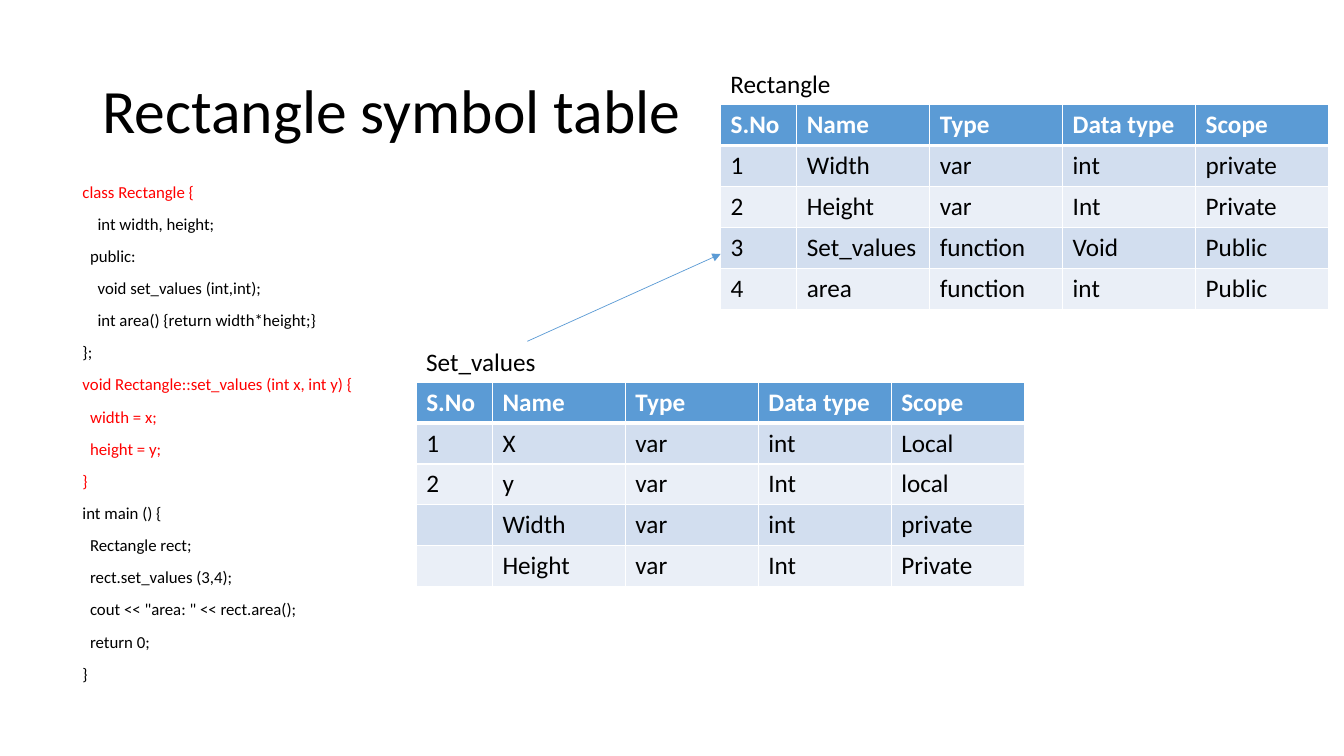
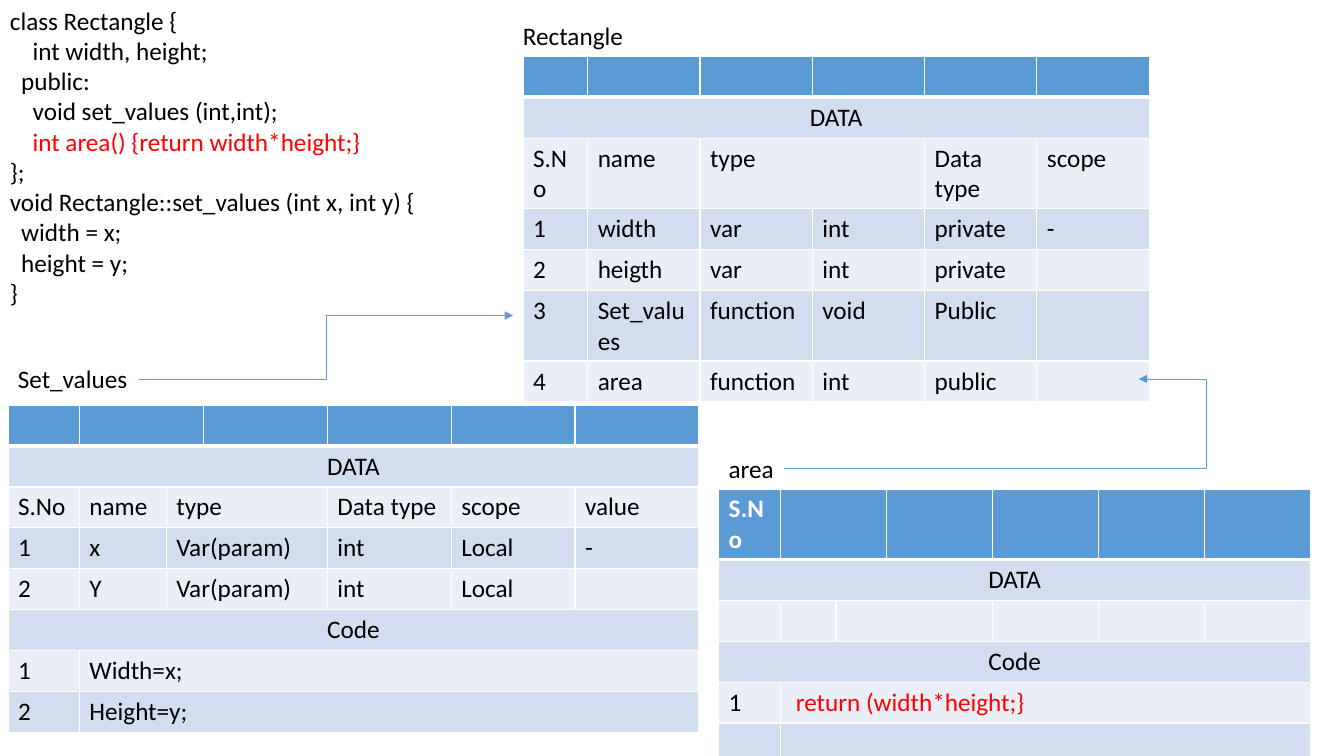
import lxml.etree
import pptx
import pptx.dml.color
import pptx.enum.shapes
import pptx.enum.text
import pptx.oxml.ns
import pptx.util

Cm = pptx.util.Cm
Pt = pptx.util.Pt
CONNECTOR = pptx.enum.shapes.MSO_CONNECTOR
ALIGN = pptx.enum.text.PP_ALIGN

FONT = "Calibri"
BLACK, WHITE, RED = "000000", "FFFFFF", "FF0000"
BLUE, BAND_DARK, BAND_LIGHT = "5B9BD5", "D2DEEF", "EAEFF7"
LINE_HEIGHT = 1.03

CLASS_CODE = [
    "class Rectangle {",
    "    int width, height;",
    "  public:",
    "    void set_values (int,int);",
    "    int area() {return width*height;}",
    "};",
]
METHOD_CODE = [
    "void Rectangle::set_values (int x, int y) {",
    "  width = x;",
    "  height = y;",
    "}",
]
MAIN_CODE = [
    "int main () {",
    "  Rectangle rect;",
    "  rect.set_values (3,4);",
    "  cout << \"area: \" << rect.area();",
    "  return 0;",
    "}",
]

# In table rows, None joins a cell to the one on its left.
HEADINGS = ["S.No", "Name", "Type", "Data type", "Scope"]
RECTANGLE_SYMBOLS = [
    HEADINGS,
    ["1", "Width", "var", "int", "private"],
    ["2", "Height", "var", "Int", "Private"],
    ["3", "Set_values", "function", "Void", "Public"],
    ["4", "area", "function", "int", "Public"],
]
SET_VALUES_SYMBOLS = [
    HEADINGS,
    ["1", "X", "var", "int", "Local"],
    ["2", "y", "var", "Int", "local"],
    ["", "Width", "var", "int", "private"],
    ["", "Height", "var", "Int", "Private"],
]
RECTANGLE_RECORD = [
    [""] * 6,
    ["DATA"] + [None] * 5,
    ["S.No", "name", "type", None, "Data type", "scope"],
    ["1", "width", "var", "int", "private", "-"],
    ["2", "heigth", "var", "int", "private", ""],
    ["3", "Set_values", "function", "void", "Public", ""],
    ["4", "area", "function", "int", "public", ""],
]
SET_VALUES_RECORD = [
    ["", "", None, "", "", "", ""],
    ["DATA"] + [None] * 6,
    ["S.No", "name", "type", None, "Data type", "scope", "value"],
    ["1", "x", "Var(param)", None, "int", "Local", "-"],
    ["2", "Y", "Var(param)", None, "int", "Local", ""],
    ["Code"] + [None] * 6,
    ["1", "Width=x;"] + [None] * 5,
    ["2", "Height=y;"] + [None] * 5,
]
AREA_RECORD = [
    ["S.No", "", None, "", "", "", ""],
    ["DATA"] + [None] * 6,
    ["", "", "", None, "", "", ""],
    ["Code"] + [None] * 6,
    ["1", " return (width*height;}"] + [None] * 5,
    ["", ""] + [None] * 5,
]
# The type column starts half-way along a heading in these two tables.
SET_VALUES_WIDTHS = [1.8, 2.19, 0.94] + [3.12] * 4
AREA_WIDTHS = [1.55, 1.41, 1.28] + [2.67] * 4
SYMBOL_WIDTHS = [1.92] + [3.35] * 4


def color(hex_code):
    return pptx.dml.color.RGBColor.from_string(hex_code)


def apply_format(target, values):
    for name, value in values.items():
        setattr(target, name, value)


def format_text(para, hex_code=BLACK, size=18, bold=False):
    apply_format(para.font, {"name": FONT, "size": Pt(size), "bold": bold})
    para.font.color.rgb = color(hex_code)


def add_child(parent, tag, **attributes):
    return lxml.etree.SubElement(parent, pptx.oxml.ns.qn(tag), attributes)


def add_title(page, text, left, top, width, height):
    title = page.shapes.title
    apply_format(title, {"left": Cm(left), "top": Cm(top),
                         "width": Cm(width), "height": Cm(height)})
    frame = title.text_frame
    apply_format(frame, {"text": text, "word_wrap": True,
                         "vertical_anchor": pptx.enum.text.MSO_ANCHOR.MIDDLE})
    para = frame.paragraphs[0]
    apply_format(para, {"alignment": ALIGN.LEFT, "line_spacing": 0.9})
    format_text(para, size=44)


def add_text(page, lines, left, top, width, height, red_lines=(), size=18,
             wrap=True, spacing=1.0, space_before=0):
    box = page.shapes.add_textbox(Cm(left), Cm(top), Cm(width), Cm(height))
    frame = box.text_frame
    frame.word_wrap = wrap
    for index, line in enumerate(lines):
        para = frame.add_paragraph() if index else frame.paragraphs[0]
        apply_format(para, {"text": line, "line_spacing": spacing,
                            "space_before": Pt(space_before if index else 0)})
        format_text(para, RED if index in red_lines else BLACK, size)
    return box


def add_label(page, text, left, top, width, wrap=False):
    return add_text(page, [text], left, top, width, LINE_HEIGHT, wrap=wrap)


def set_borders(cell, row_index):
    """White borders, thick between the heading row and the row below it."""
    properties = cell._tc.get_or_add_tcPr()
    thick_side = {0: "B", 1: "T"}.get(row_index)
    for position, side in enumerate("LRTB"):
        width = Pt(3 if side == thick_side else 1)
        border = add_child(properties, f"a:ln{side}", w=str(width))
        fill = add_child(border, "a:solidFill")
        add_child(fill, "a:srgbClr", val=WHITE)
        properties.insert(position, border)


def fill_cell(cell, text, row_index, centered):
    is_heading = row_index == 0
    cell.fill.solid()
    cell.fill.fore_color.rgb = color(
        BLUE if is_heading else BAND_DARK if row_index % 2 else BAND_LIGHT)
    set_borders(cell, row_index)
    para = cell.text_frame.paragraphs[0]
    apply_format(para, {"text": text or "",
                        "alignment": ALIGN.CENTER if centered else ALIGN.LEFT})
    format_text(para, WHITE if is_heading else BLACK, bold=is_heading)


def merge_joined_cells(table, row_index, row):
    start = 0
    for end in range(1, len(row) + 1):
        if end == len(row) or row[end] is not None:
            if end - start > 1:
                table.cell(row_index, start).merge(table.cell(row_index, end - 1))
            start = end


def add_grid(page, rows, widths, left, top):
    frame = page.shapes.add_table(len(rows), len(widths), Cm(left), Cm(top),
                                  Cm(sum(widths)), Cm(LINE_HEIGHT * len(rows)))
    table = frame.table
    for column, width in zip(table.columns, widths):
        column.width = Cm(width)
    for row_index, row in enumerate(rows):
        table.rows[row_index].height = Cm(LINE_HEIGHT)
        is_section = all(text is None for text in row[1:])
        for column_index, text in enumerate(row):
            fill_cell(table.cell(row_index, column_index), text, row_index, is_section)
        merge_joined_cells(table, row_index, row)
    return table


def add_arrow(page, label, side, end_x, end_y, kind=CONNECTOR.ELBOW, bend=None):
    """Arrow from a side of a label; bend places the elbow, as a share of its width."""
    arrow = page.shapes.add_connector(kind, label.left, label.top, Cm(end_x), Cm(end_y))
    arrow.begin_connect(label, side)
    arrow.line.color.rgb = color(BLUE)
    arrow.line.width = Pt(0.5)
    properties = arrow._element.spPr
    add_child(arrow.line._get_or_add_ln(), "a:tailEnd", type="triangle")
    add_child(properties, "a:effectLst")
    if bend is not None:
        guides = properties.find(".//" + pptx.oxml.ns.qn("a:avLst"))
        add_child(guides, "a:gd", name="adj1", fmla=f"val {round(bend * 100000)}")


def build_symbol_tables(deck):
    page = deck.slides.add_slide(deck.slide_layouts[5])
    add_title(page, "Rectangle symbol table", 2.33, 1.01, 29.21, 3.68)
    add_text(page, CLASS_CODE + METHOD_CODE + MAIN_CODE, 1.83, 4.5, 29.21, 12.1,
             red_lines=(0, 6, 7, 8, 9), size=12, spacing=0.9, space_before=10)
    add_grid(page, RECTANGLE_SYMBOLS, SYMBOL_WIDTHS, 18.16, 2.64)
    add_label(page, "Rectangle", 18.16, 1.6, 3.07)
    add_grid(page, SET_VALUES_SYMBOLS, SYMBOL_WIDTHS, 10.49, 9.63)
    label = add_label(page, "Set_values", 10.49, 8.6, 5.6, wrap=True)
    add_arrow(page, label, 0, 18.16, 6.4, CONNECTOR.STRAIGHT)


def build_records(deck):
    page = deck.slides.add_slide(deck.slide_layouts[6])
    add_text(page, CLASS_CODE + METHOD_CODE, 0, 0, 16.93, 7.95, red_lines=(4,))

    add_grid(page, RECTANGLE_RECORD, [1.63] + [2.83] * 5, 13.18, 1.42)
    add_label(page, "Rectangle", 12.93, 0.39, 3.07)

    add_grid(page, SET_VALUES_RECORD, SET_VALUES_WIDTHS, 0.2, 10.21)
    set_values = add_label(page, "Set_values", 0.2, 9.04, 3.3)
    add_arrow(page, set_values, 3, 12.93, 7.95, bend=0.5)

    area_table = add_grid(page, AREA_RECORD, AREA_WIDTHS, 18.11, 12.32)
    format_text(area_table.cell(4, 1).text_frame.paragraphs[0], RED)
    area = add_label(page, "area", 18.11, 11.3, 1.65)
    add_arrow(page, area, 3, 28.7, 9.55, bend=1.19)


def main():
    deck = pptx.Presentation()
    apply_format(deck, {"slide_width": Cm(33.87), "slide_height": Cm(19.05)})
    build_symbol_tables(deck)
    build_records(deck)
    deck.save("out.pptx")


if __name__ == "__main__":
    main()
